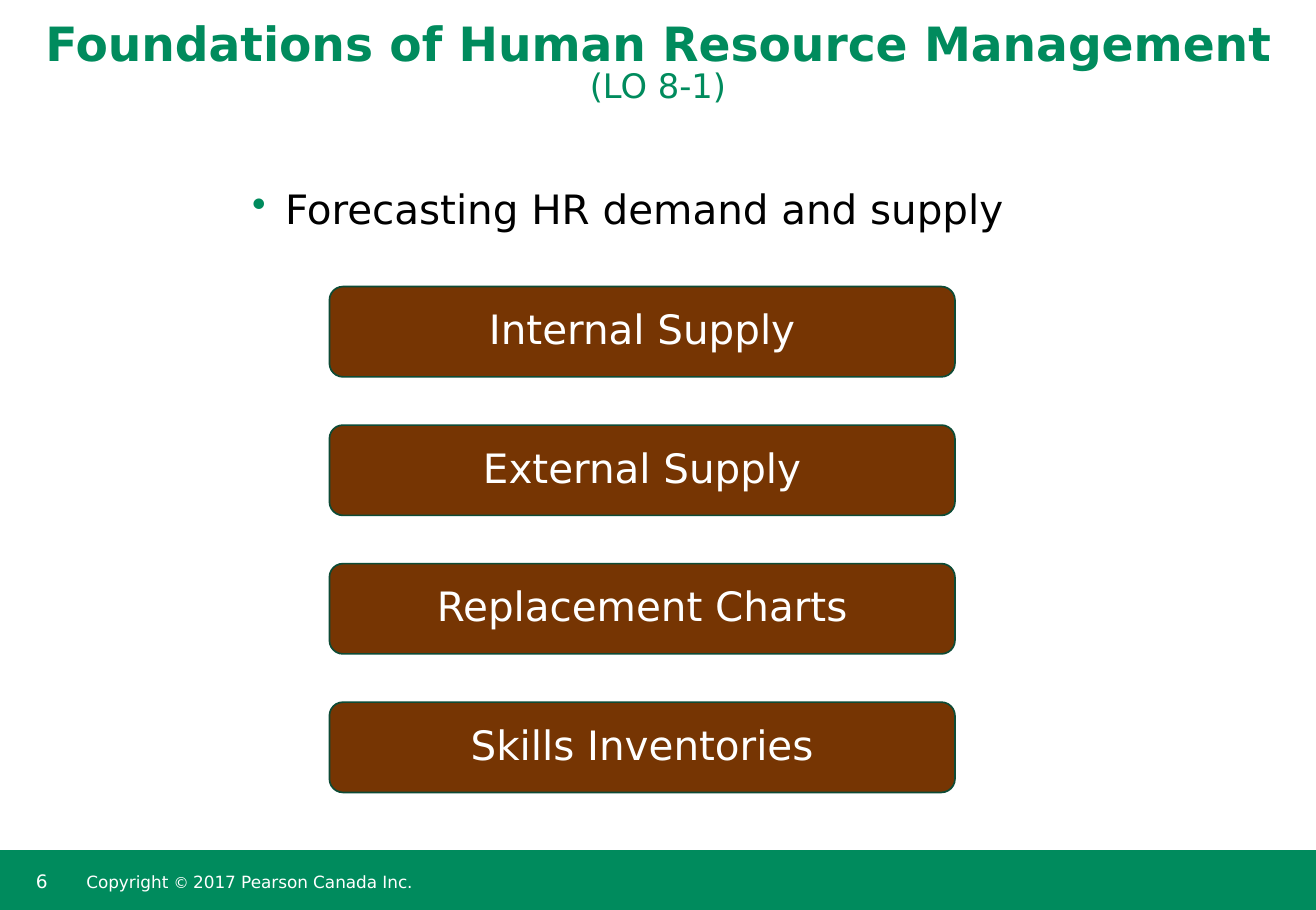
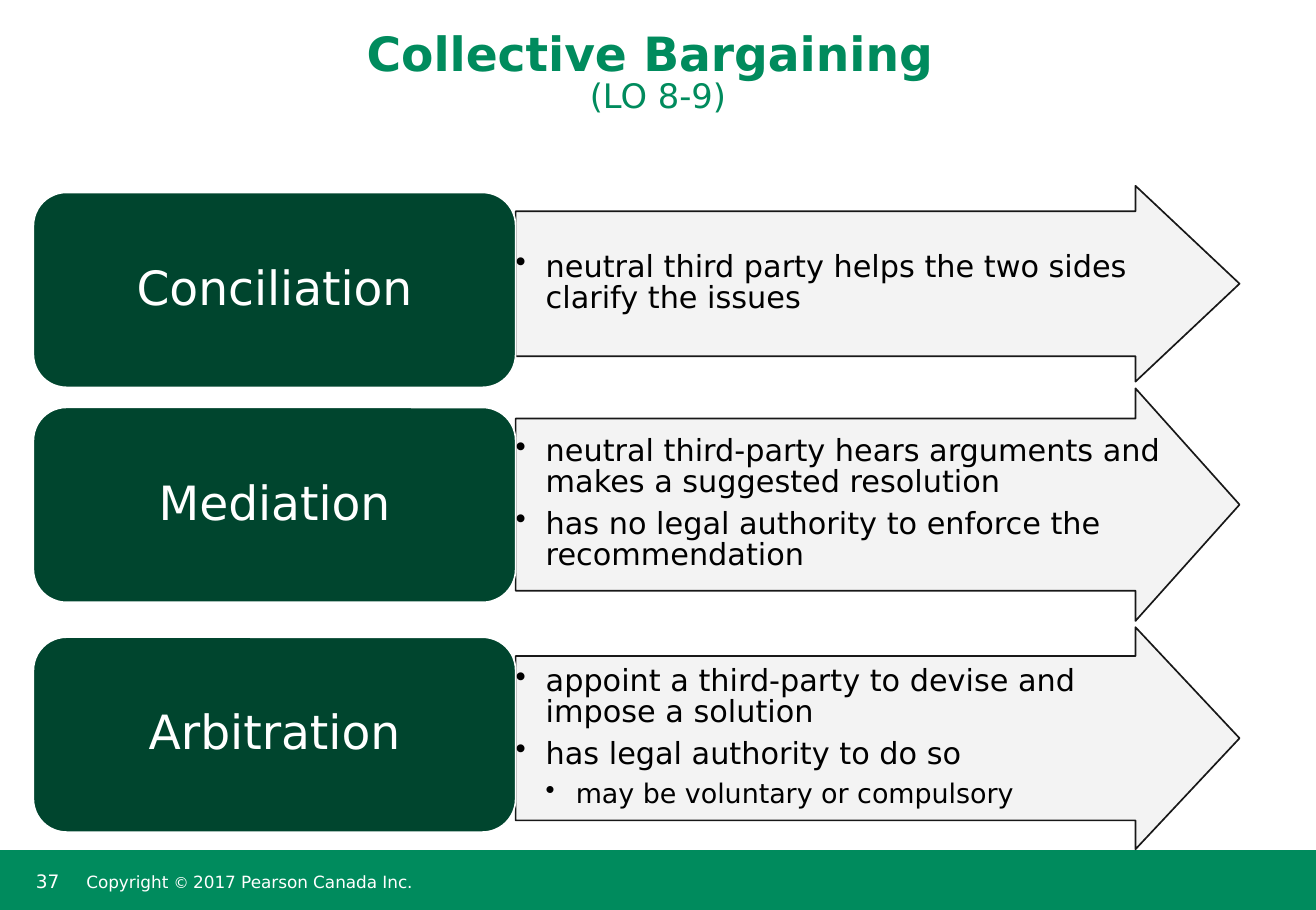
import pptx
import pptx.util
import pptx.dml.color
import pptx.enum.shapes
import pptx.enum.text
import pptx.oxml
import pptx.oxml.ns
import lxml.etree

Cm = pptx.util.Cm
Pt = pptx.util.Pt
RGBColor = pptx.dml.color.RGBColor
SHAPE = pptx.enum.shapes.MSO_SHAPE
ALIGN = pptx.enum.text.PP_ALIGN
ANCHOR = pptx.enum.text.MSO_ANCHOR
qn = pptx.oxml.ns.qn

FONT = "DejaVu Sans"
GREEN = RGBColor(0x00, 0x8B, 0x5D)
DARK_GREEN = RGBColor(0x00, 0x45, 0x2E)
EDGE_GREEN = RGBColor(0x0D, 0x4B, 0x36)
BROWN = RGBColor(0x76, 0x35, 0x03)
PALE_GREY = RGBColor(0xF2, 0xF2, 0xF2)
WHITE = RGBColor(0xFF, 0xFF, 0xFF)
BLACK = RGBColor(0x00, 0x00, 0x00)

PAGE_WIDTH = 27.56
PAGE_HEIGHT = 19.05
BAND_TOP = 17.8


def add_block(page, preset, place, fill=None, line=None, anchor=ANCHOR.MIDDLE,
              margins=(0.25, 0.13, 0.25, 0.13)):
    """Add a text box, or a preset shape if one is given; place and margins in cm."""
    place = [Cm(length) for length in place]
    if preset is None:
        box = page.shapes.add_textbox(*place)
    else:
        box = page.shapes.add_shape(preset, *place)
        box.shadow.inherit = False
        box.fill.solid()
        box.fill.fore_color.rgb = fill
        if line is None:
            box.line.fill.background()
        else:
            box.line.color.rgb = line
            box.line.width = Pt(1)
    frame = box.text_frame
    frame.word_wrap = True
    frame.vertical_anchor = anchor
    (frame.margin_left, frame.margin_top,
     frame.margin_right, frame.margin_bottom) = [Cm(length) for length in margins]
    return box


def add_para(box, spans, color, align=ALIGN.LEFT, spacing=0.85, after=0.0,
             bullet=None, indent=0.0, level=1):
    """Add a paragraph of (text, size, bold) spans, with a bullet if a colour is given."""
    frame = box.text_frame
    para = frame.paragraphs[0] if not frame.text else frame.add_paragraph()
    if bullet is not None:
        props = para._p.get_or_add_pPr()
        props.set("marL", str(Cm(indent * level)))
        props.set("indent", str(-Cm(indent)))
        tint = lxml.etree.SubElement(props, qn("a:buClr"))
        lxml.etree.SubElement(tint, qn("a:srgbClr")).set("val", str(bullet))
        lxml.etree.SubElement(props, qn("a:buChar")).set("char", "•")
    para.alignment = align
    para.line_spacing = spacing
    para.space_after = Pt(after)
    for text, size, bold in spans:
        if text == "\n":
            para.add_line_break()
            continue
        span = para.add_run()
        span.text = text
        span.font.name = FONT
        span.font.size = Pt(size)
        span.font.bold = bold
        span.font.color.rgb = color


deck = pptx.Presentation()
deck.slide_width = Cm(PAGE_WIDTH)
deck.slide_height = Cm(PAGE_HEIGHT)

# Shared frame: green band, page number, copyright line and title
PAGES = [
    ("6", 2.34, [("Foundations of Human Resource Management ", 28, True),
                 ("(LO 8-1)", 20, False)]),
    ("37", 2.54, [("Collective Bargaining ", 28, True), ("\n", 28, True),
                  ("(LO 8-9)", 20, False)]),
]
for number, title_height, title in PAGES:
    page = deck.slides.add_slide(deck.slide_layouts[6])
    add_block(page, SHAPE.RECTANGLE,
              (0, BAND_TOP, PAGE_WIDTH, PAGE_HEIGHT - BAND_TOP), GREEN)
    box = add_block(page, None, (0.5, 18.08, 1.2, 0.8), anchor=ANCHOR.TOP)
    add_para(box, [(number, 11, False)], WHITE, spacing=1.0)
    box = add_block(page, None, (1.68, BAND_TOP, 14.68, 1.26),
                    margins=(0.13, 0.25, 0.13, 0.13))
    add_para(box, [("Copyright ", 10, False), ("©", 9, False), (" ", 8, False),
                   ("2017 Pearson Canada Inc.", 10, False)], WHITE)
    box = add_block(page, None, (0, 0, PAGE_WIDTH, title_height), anchor=ANCHOR.BOTTOM)
    add_para(box, title, GREEN, ALIGN.CENTER, after=6.5)

supply_page, bargaining_page = deck.slides

# Forecasting: one bullet above an even stack of bars
box = add_block(supply_page, None, (5.03, 3.89, 16.71, 1.7), anchor=ANCHOR.TOP)
add_para(box, [("Forecasting HR demand and supply", 24, False)], BLACK,
         after=6.5, bullet=GREEN, indent=0.69)

BAR_TOP = 6.0
BAR_STEP = 2.9
SUPPLY_TOPICS = ["Internal Supply", "External Supply",
                 "Replacement Charts", "Skills Inventories"]
for row, topic in enumerate(SUPPLY_TOPICS):
    bar = add_block(supply_page, SHAPE.ROUNDED_RECTANGLE,
                    (6.9, BAR_TOP + row * BAR_STEP, 13.1, 1.89), BROWN, EDGE_GREEN)
    bar.adjustments[0] = 0.15
    add_para(bar, [(topic, 24, False)], WHITE, ALIGN.CENTER, spacing=0.9, after=10.5)

# Collective bargaining: a label and an arrow of bullets in each row
LABEL_LEFT, LABEL_WIDTH, LABEL_HEIGHT = 0.7, 10.1, 4.08
ARROW_LEFT, ARROW_WIDTH = LABEL_LEFT + LABEL_WIDTH, 15.16
SHAFT_SHARE, HEAD_LENGTH = 0.74, 2.18
# label, label top, arrow top, arrow height, (bullet level, text)
METHODS = [
    ("Conciliation", 4.03, 3.89, 4.1,
     [(1, "neutral third party helps the two sides clarify the issues")]),
    ("Mediation", 8.53, 8.13, 4.87,
     [(1, "neutral third-party hears arguments and makes a suggested resolution"),
      (1, "has no legal authority to enforce the recommendation")]),
    ("Arbitration", 13.34, 13.13, 4.65,
     [(1, "appoint a third-party to devise and impose a solution"),
      (1, "has legal authority to do so"),
      (2, "may be voluntary or compulsory")]),
]
for name, label_top, arrow_top, arrow_height, points in METHODS:
    arrow = add_block(bargaining_page, SHAPE.RIGHT_ARROW,
                      (ARROW_LEFT, arrow_top, ARROW_WIDTH, arrow_height),
                      PALE_GREY, BLACK, margins=(0, 0, 0, 0))
    arrow.adjustments[0] = SHAFT_SHARE
    arrow.adjustments[1] = HEAD_LENGTH / arrow_height
    # Fill and outline are 90 % opaque
    for tint in arrow._element.spPr.iter(qn("a:srgbClr")):
        lxml.etree.SubElement(tint, qn("a:alpha")).set("val", "90000")
    for level, text in points:
        add_para(arrow, [(text, 20 - 2 * level, False)], BLACK, after=6.5,
                 bullet=BLACK, indent=0.63, level=level)

    label = add_block(bargaining_page, SHAPE.ROUNDED_RECTANGLE,
                      (LABEL_LEFT, label_top, LABEL_WIDTH, LABEL_HEIGHT),
                      DARK_GREEN, WHITE)
    label.adjustments[0] = 0.17
    add_para(label, [(name, 28, False)], WHITE, ALIGN.CENTER, spacing=0.9, after=12.2)

deck.save("out.pptx")
